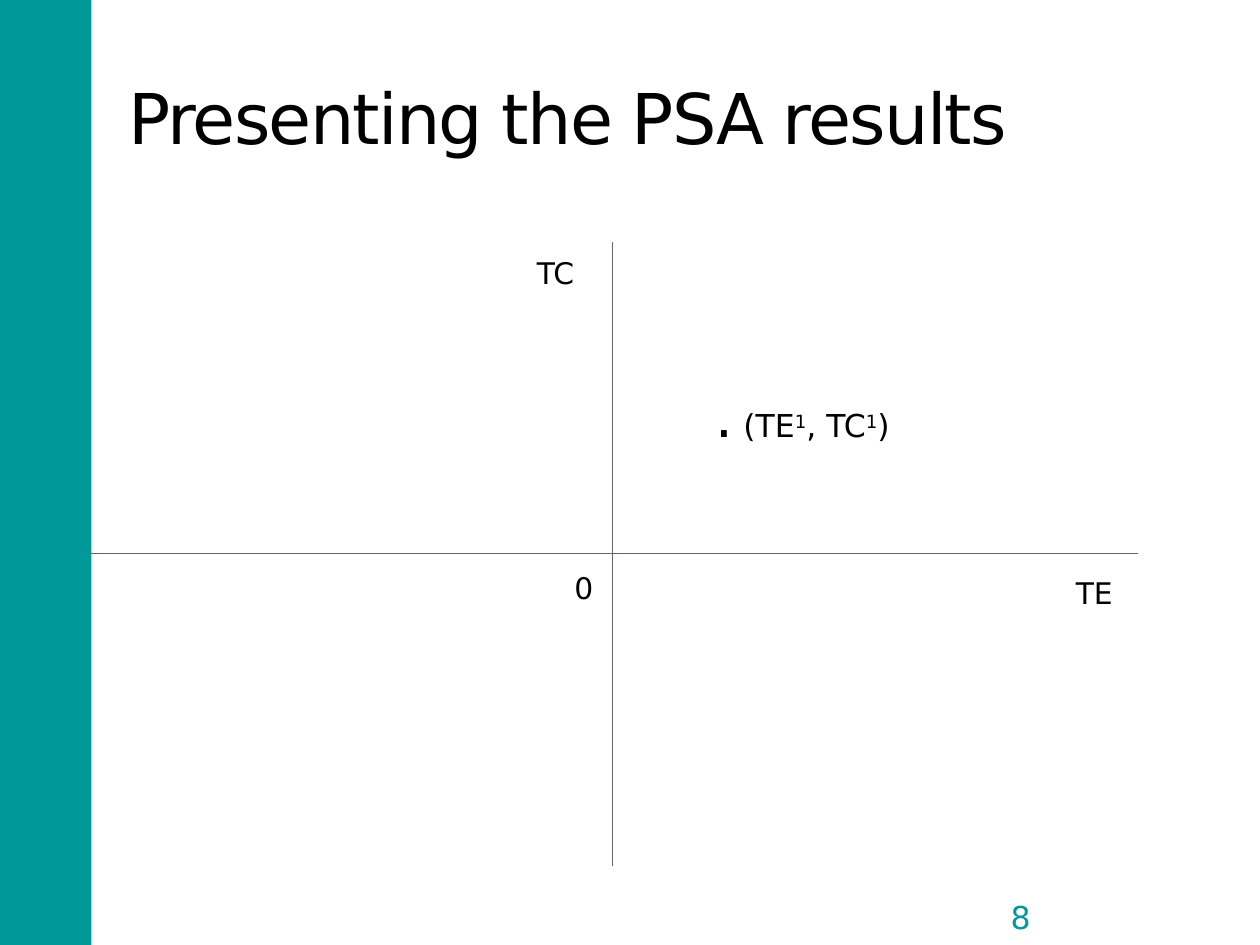
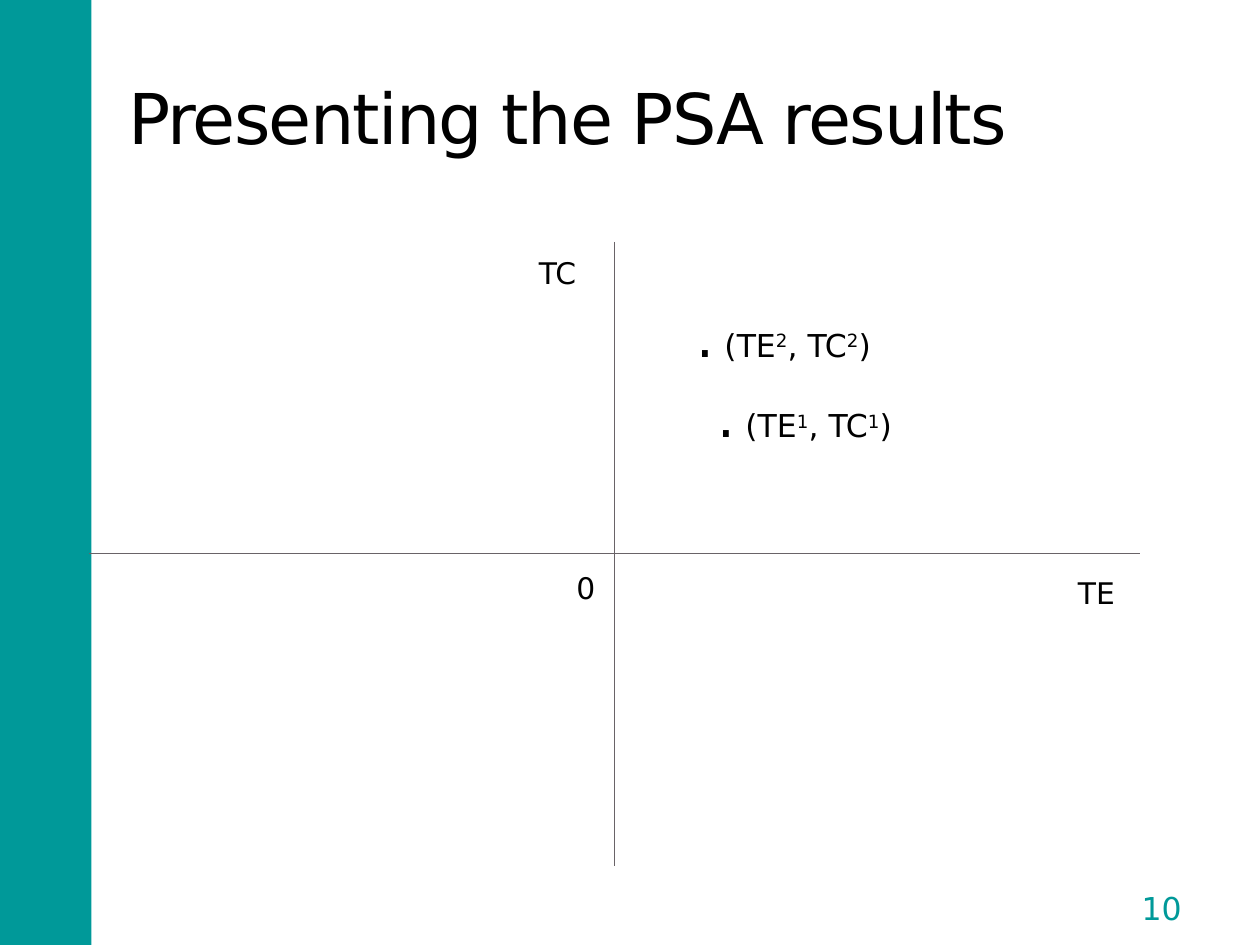
from lxml.etree import SubElement
from pptx import Presentation
from pptx.dml.color import RGBColor
from pptx.enum.shapes import MSO_CONNECTOR as CONN, MSO_SHAPE as SHAPE
from pptx.enum.text import MSO_ANCHOR as ANCHOR, PP_ALIGN as ALIGN
from pptx.oxml.ns import qn
from pptx.util import Pt

FONT = "DejaVu Sans"
TEAL, BLACK, WHITE, GREY = "009999", "000000", "FFFFFF", "696367"
TITLE = "Presenting the PSA results"


def rgb(value):
    """Turn a hex string into a colour."""
    return RGBColor.from_string(value)


def style(p, size, color=BLACK):
    """Set the font of a whole paragraph."""
    p.font.name, p.font.size, p.font.color.rgb = FONT, Pt(size), rgb(color)


def set_frame(tf, anchor, inset):
    """Set wrapping, anchor and equal margins of a text frame."""
    tf.word_wrap, tf.vertical_anchor = True, anchor
    tf.margin_left = tf.margin_top = tf.margin_right = tf.margin_bottom = Pt(inset)


def add_text(s, box, text, size, anchor=ANCHOR.TOP):
    """Add a text box and return its paragraph."""
    tf = s.shapes.add_textbox(*map(Pt, box)).text_frame
    set_frame(tf, anchor, 7.2)
    p = tf.paragraphs[0]
    p.add_run().text = text
    style(p, size)
    return p


def add_axis(s, x1, y1, x2, y2):
    """Draw one thin axis line."""
    line = s.shapes.add_connector(CONN.STRAIGHT, *map(Pt, (x1, y1, x2, y2)))
    line.line.color.rgb, line.line.width = rgb(GREY), Pt(0.75)
    SubElement(line._element.spPr, qn("a:effectLst"))


def add_band(s, width, height):
    """Fill the band down the left edge."""
    sp = s.shapes.add_shape(SHAPE.RECTANGLE, 0, 0, Pt(width), Pt(height))
    sp.shadow.inherit = False
    sp.fill.solid()
    sp.fill.fore_color.rgb = rgb(TEAL)
    sp.line.fill.background()


def add_title(s, box):
    """Write the slide title with slightly tightened letters."""
    p = add_text(s, box, TITLE, 40, ANCHOR.MIDDLE)
    p.runs[0]._r.get_or_add_rPr().set("spc", "-100")


def add_number(s, left, top, number):
    """Write the slide number inside a bracket pair."""
    sp = s.shapes.add_shape(SHAPE.DOUBLE_BRACKET, *map(Pt, (left, top, 43.2, 31)))
    sp.shadow.inherit = False
    sp.fill.background()
    sp.line.color.rgb, sp.line.width = rgb(WHITE), Pt(1.5)
    set_frame(sp.text_frame, ANCHOR.MIDDLE, 0)
    p = sp.text_frame.paragraphs[0]
    p.text, p.alignment = str(number), ALIGN.CENTER
    style(p, 18, TEAL)


def add_point(s, left, top, width, index):
    """Mark a point with its superscripted coordinates."""
    p = add_text(s, (left, top, width, 53.3), ".", 18)
    p.runs[0].font.size = Pt(32)
    for text, raised in ((" (TE", False), (index, True), (", TC", False), (index, True), (")", False)):
        r = p.add_run()
        r.text = text
        if raised:
            r._r.get_or_add_rPr().set("baseline", "30000")


def add_plane(s, left, top, width, height, points):
    """Draw the crossed axes, their labels and the points."""
    mid_x, mid_y = left + width / 2, top + height / 2
    add_axis(s, mid_x, top, mid_x, top + height)
    add_axis(s, left + width, mid_y, left, mid_y)
    for text, dx, dy, label_width in (("TE", 558, 183, 43.2), ("TC", 250, 0, 43.2), ("0", 271.4, 180, 28.1)):
        add_text(s, (left + dx, top + dy, label_width, 31), text, 17)
    for index, dx, dy, point_width in points:
        add_point(s, left + dx, top + dy, point_width, index)


def add_slide(prs, number, number_at, plane_left, points):
    """Build one slide of the results sequence."""
    s = prs.slides.add_slide(prs.slide_layouts[6])
    add_band(s, 52.3, 540)
    add_title(s, (66.2, 21.6, 600, 90))
    add_number(s, *number_at, number)
    add_plane(s, plane_left, 138.2, 600.4, 356.4, points)


def main():
    """Build and save the presentation."""
    prs = Presentation()
    prs.slide_width, prs.slide_height = Pt(720), Pt(540)
    add_slide(prs, 8, (561.6, 508.3), 49.7, [("1", 352.1, 72.7, 164)])
    add_slide(prs, 10, (642.2, 503.3), 50.9, [("1", 352.1, 72.7, 152.6), ("2", 340.1, 26.7, 152.6)])
    prs.save("out.pptx")


if __name__ == "__main__":
    main()
